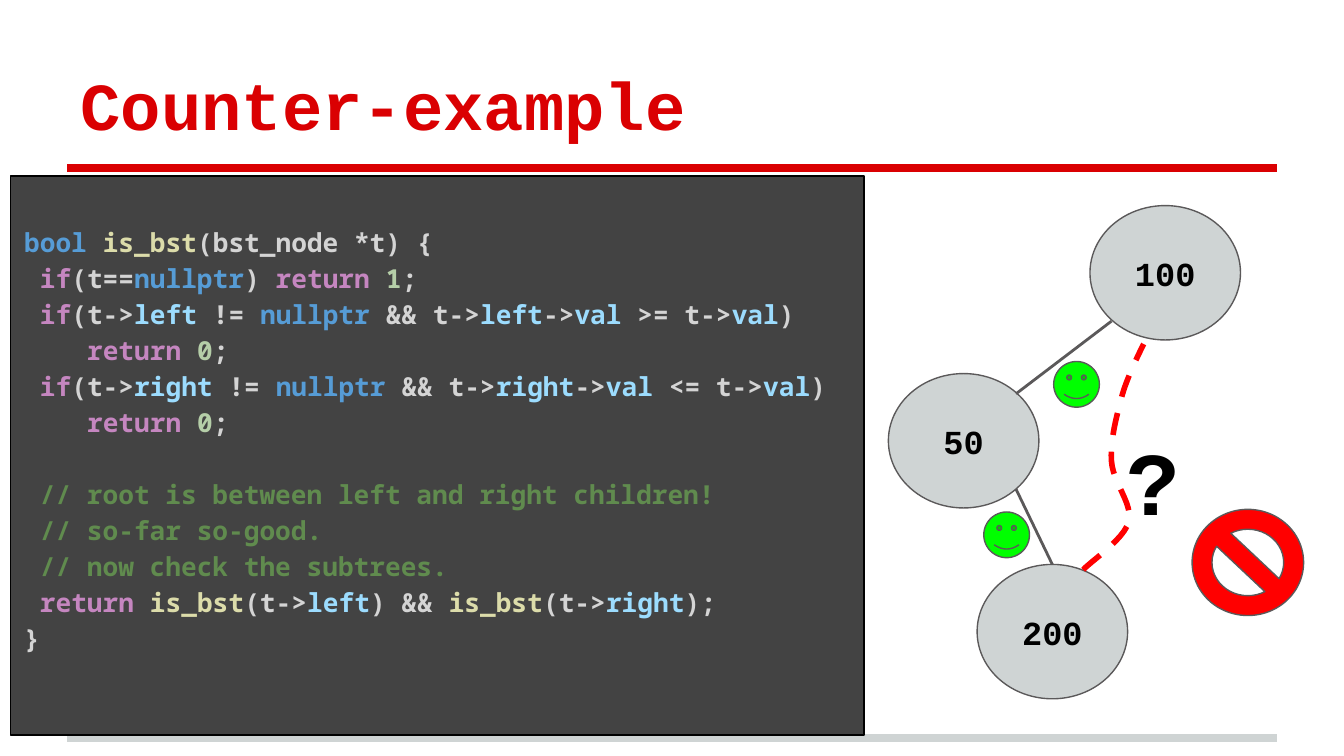
"""Build the slide that shows a counter-example to a local binary search tree check."""
import itertools
from typing import Any, NamedTuple

import lxml.etree
import pptx
import pptx.dml.color
import pptx.enum.dml
import pptx.enum.shapes
import pptx.enum.text
import pptx.oxml.ns
import pptx.util

Inches = pptx.util.Inches
Pt = pptx.util.Pt
Preset = pptx.enum.shapes.MSO_SHAPE
Align = pptx.enum.text.PP_ALIGN
Anchor = pptx.enum.text.MSO_ANCHOR

HEADING_FONT = "Courier New"
CODE_FONT = "Noto Sans Mono"
RED, GRAY, OUTLINE = "DA0002", "CFD4D4", "5B595A"
PLAIN, COMMENT = "D4D4D4", "608B4E"
WORD_COLORS = {
    "bool": "569CD6", "nullptr": "569CD6",
    "is_bst": "DCDCAA",
    "if": "C586C0", "return": "C586C0",
    "left": "9CDCFE", "right": "9CDCFE", "val": "9CDCFE",
    "0": "B5CEA8", "1": "B5CEA8",
}
CHECKS = """bool is_bst(bst_node *t) {
 if(t==nullptr) return 1;
 if(t->left != nullptr && t->left->val >= t->val)
    return 0;
 if(t->right != nullptr && t->right->val <= t->val)
    return 0;"""
RECURSION = """ // root is between left and right children!
 // so-far so-good.
 // now check the subtrees.
 return is_bst(t->left) && is_bst(t->right);
}"""


class Figure(NamedTuple):
    preset: Any
    left: float
    top: float
    width: float
    height: float
    fill: str
    label: str = ""


class Segment(NamedTuple):
    start: tuple[float, float]
    end: tuple[float, float]
    color: str
    weight: float


RULES = [Segment((0.5, y), (9.5, y), color, 4) for y, color in ((5.49, GRAY), (1.25, RED))]
EDGES = [
    Segment((8.27, 2.39), (7.56, 2.93), OUTLINE, 1.5),
    Segment((7.56, 3.64), (7.83, 4.2), OUTLINE, 1.5),
]
NODES = [
    Figure(Preset.OVAL, left, top, 1.12, 1, GRAY, value)
    for left, top, value in ((8.11, 1.53, "100"), (6.61, 2.78, "50"), (7.27, 4.2, "200"))
]
VERDICTS = [
    Figure(Preset.SMILEY_FACE, left, top, 0.34, 0.34, "00FF00")
    for left, top in ((7.84, 2.69), (7.32, 3.81))
]
REJECTION = Figure(Preset.NO_SYMBOL, 8.87, 3.79, 0.83, 0.79, "FF0000")
DOUBT_CURVE = [
    (8.06, 4.24), (8.11, 4.18), (8.36, 4.02), (8.4, 3.88), (8.43, 3.75),
    (8.28, 3.59), (8.27, 3.43), (8.26, 3.27), (8.31, 3.09), (8.35, 2.94),
    (8.39, 2.8), (8.48, 2.62), (8.51, 2.56),
]
CURVE_STEPS = 12


def rgb(color: str) -> pptx.dml.color.RGBColor:
    return pptx.dml.color.RGBColor.from_string(color)


def write(paragraph: Any, text: str, *, size: float, font: str = HEADING_FONT,
          color: str = "000000", align: Any = Align.LEFT) -> None:
    paragraph.alignment = align
    run = paragraph.add_run()
    run.text = text
    run.font.name = font
    run.font.size = Pt(size)
    run.font.bold = True
    run.font.color.rgb = rgb(color)


def set_frame(shape: Any, anchor: Any, top_inset: float = 0.1) -> Any:
    frame = shape.text_frame
    frame.word_wrap = True
    frame.auto_size = pptx.enum.text.MSO_AUTO_SIZE.NONE
    frame.vertical_anchor = anchor
    frame.margin_left = frame.margin_right = frame.margin_bottom = Inches(0.1)
    frame.margin_top = Inches(top_inset)
    return frame


def place(shape: Any, left: float, top: float, width: float, height: float) -> None:
    shape.left, shape.top = Inches(left), Inches(top)
    shape.width, shape.height = Inches(width), Inches(height)


def paint(shape: Any, fill: str, line: str) -> None:
    shape.fill.solid()
    shape.fill.fore_color.rgb = rgb(fill)
    shape.line.color.rgb = rgb(line)
    shape.line.width = Pt(0.75)


def draw_segment(slide: Any, segment: Segment) -> None:
    ends = [Inches(value) for value in segment.start + segment.end]
    connector = slide.shapes.add_connector(pptx.enum.shapes.MSO_CONNECTOR.STRAIGHT, *ends)
    connector.line.color.rgb = rgb(segment.color)
    connector.line.width = Pt(segment.weight)
    lxml.etree.SubElement(connector._element.spPr, pptx.oxml.ns.qn("a:effectLst"))


def draw_figure(slide: Any, figure: Figure) -> None:
    box = [Inches(value) for value in figure[1:5]]
    shape = slide.shapes.add_shape(figure.preset, *box)
    shape.shadow.inherit = False
    paint(shape, figure.fill, OUTLINE)
    if figure.label:
        frame = set_frame(shape, Anchor.MIDDLE)
        write(frame.paragraphs[0], figure.label, size=18, align=Align.CENTER)


def bezier_point(controls: list[tuple[float, float]], t: float) -> tuple[int, int]:
    weights = ((1 - t) ** 3, 3 * t * (1 - t) ** 2, 3 * t ** 2 * (1 - t), t ** 3)
    x, y = (sum(w * v for w, v in zip(weights, axis)) for axis in zip(*controls))
    return Inches(x), Inches(y)


def draw_doubt_curve(slide: Any) -> None:
    points = [
        bezier_point(DOUBT_CURVE[first:first + 4], step / CURVE_STEPS)
        for first in range(0, len(DOUBT_CURVE) - 1, 3)
        for step in range(1, CURVE_STEPS + 1)
    ]
    start_x, start_y = DOUBT_CURVE[0]
    builder = slide.shapes.build_freeform(Inches(start_x), Inches(start_y))
    builder.add_line_segments(points, close=False)
    curve = builder.convert_to_shape()
    curve.shadow.inherit = False
    curve.fill.background()
    curve.line.color.rgb = rgb("FF0000")
    curve.line.width = Pt(3)
    curve.line.dash_style = pptx.enum.dml.MSO_LINE.DASH


def write_code_line(paragraph: Any, line: str, space_before: float) -> None:
    properties = paragraph._p.get_or_add_pPr()
    properties.set("marL", "0")
    properties.set("indent", "0")
    lxml.etree.SubElement(properties, pptx.oxml.ns.qn("a:buNone"))
    paragraph.line_spacing = 1.15
    paragraph.space_before = Pt(space_before)
    if line.lstrip().startswith("//"):
        write(paragraph, line, size=14, font=CODE_FONT, color=COMMENT)
        return
    for _, letters in itertools.groupby(line, lambda c: c.isalnum() or c == "_"):
        token = "".join(letters)
        write(paragraph, token, size=14, font=CODE_FONT, color=WORD_COLORS.get(token, PLAIN))


def fill_code(body: Any) -> None:
    place(body, 0.08, 1.31, 6.35, 4.16)
    paint(body, "434343", "000000")
    frame = set_frame(body, Anchor.TOP, top_inset=0.34)
    checks, recursion = CHECKS.splitlines(), RECURSION.splitlines()
    for index, line in enumerate(checks + recursion):
        paragraph = frame.add_paragraph() if index else frame.paragraphs[0]
        write_code_line(paragraph, line, 19.3 if index == len(checks) else 0)


def main() -> None:
    deck = pptx.Presentation()
    deck.slide_width = Inches(10)
    deck.slide_height = deck.slide_width * 9 // 16
    slide = deck.slides.add_slide(deck.slide_layouts[1])
    title, body = slide.placeholders
    place(title, 0.5, 0.23, 9, 0.94)
    heading = set_frame(title, Anchor.BOTTOM)
    write(heading.paragraphs[0], "Counter-example", size=36, color=RED)
    for rule in RULES:
        draw_segment(slide, rule)
    for node in NODES:
        draw_figure(slide, node)
    for edge in EDGES:
        draw_segment(slide, edge)
    for verdict in VERDICTS:
        draw_figure(slide, verdict)
    draw_doubt_curve(slide)
    question = slide.shapes.add_textbox(Inches(8.28), Inches(3.07), Inches(0.71), Inches(0.94))
    write(set_frame(question, Anchor.TOP).paragraphs[0], "?", size=48)
    draw_figure(slide, REJECTION)
    fill_code(body)
    slide.shapes._spTree.append(body._element)
    deck.save("out.pptx")


if __name__ == "__main__":
    main()
